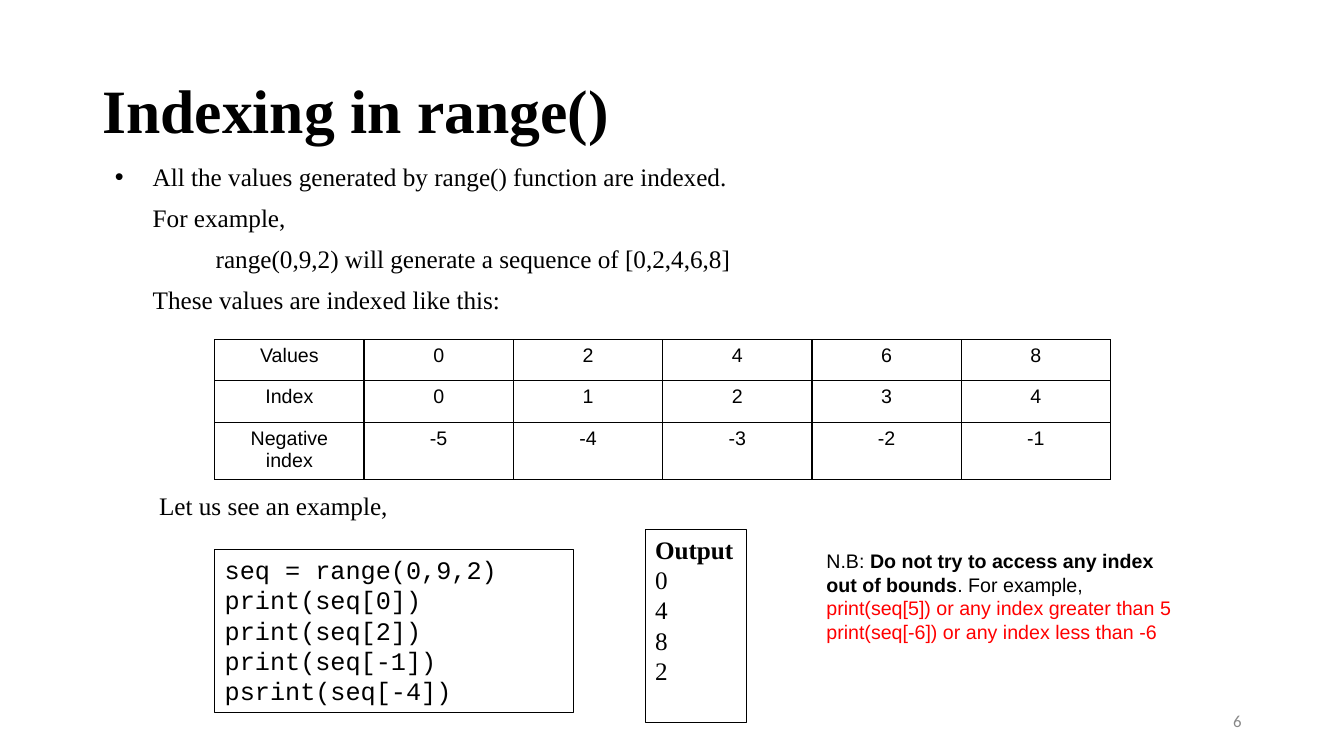
from lxml.etree import SubElement as add_element
from pptx import Presentation
from pptx.dml.color import RGBColor
from pptx.enum.shapes import MSO_SHAPE as Preset
from pptx.enum.text import MSO_ANCHOR as Anchor, PP_ALIGN as Align
from pptx.oxml.ns import qn
from pptx.util import Pt

BLACK = RGBColor(0x00, 0x00, 0x00)
RED = RGBColor(0xFF, 0x00, 0x00)
GREY = RGBColor(0x88, 0x88, 0x88)

TITLE = {"name": "Times New Roman", "size": Pt(44), "bold": True}
SERIF = {"name": "Times New Roman", "size": Pt(18)}
CODE = {"name": "Courier New", "size": Pt(18)}
SANS = {"name": "Arial", "size": Pt(14)}
NUMBER = {"name": "Calibri", "size": Pt(12)}

TIGHT = {"line_spacing": 0.9}
BODY = {"line_spacing": 0.9, "space_before": Pt(10)}

INDEX_ROWS = [
    ["Values", "0", "2", "4", "6", "8"],
    ["Index", "0", "1", "2", "3", "4"],
    ["Negative index", "-5", "-4", "-3", "-2", "-1"],
]
CODE_LINES = [
    "seq = range(0,9,2)",
    "print(seq[0])",
    "print(seq[2])",
    "print(seq[-1])",
    "psrint(seq[-4])",
]


def set_values(target, values):
    for name, value in values.items():
        setattr(target, name, value)


def add_span(para, text, font, color=BLACK):
    span = para.add_run()
    span.text = text
    set_values(span.font, font)
    span.font.color.rgb = color


def write_lines(frame, lines, layout):
    for number, spans in enumerate(lines):
        para = frame.add_paragraph() if number else frame.paragraphs[0]
        set_values(para, layout)
        for span in spans:
            add_span(para, *span)


def add_text(page, place, lines, layout, anchor=Anchor.TOP):
    box = page.shapes.add_textbox(*map(Pt, place))
    set_values(box.text_frame, {"word_wrap": True, "vertical_anchor": anchor})
    write_lines(box.text_frame, lines, layout)
    return box


def add_framed_text(page, place, lines):
    box = page.shapes.add_shape(Preset.RECTANGLE, *map(Pt, place))
    box.shadow.inherit = False
    box.fill.background()
    box.line.color.rgb = BLACK
    box.line.width = Pt(0.75)
    set_values(box.text_frame, {"word_wrap": True, "vertical_anchor": Anchor.TOP})
    write_lines(box.text_frame, lines, {"alignment": Align.LEFT})


def set_indent(para, margin, first=0, bullet=None):
    properties = para._p.get_or_add_pPr()
    properties.set("marL", str(Pt(margin)))
    properties.set("indent", str(Pt(first)))
    if bullet:
        add_element(properties, qn("a:buFont"), typeface="Arial")
        add_element(properties, qn("a:buChar"), char=bullet)


def add_borders(cell):
    properties = cell._tc.get_or_add_tcPr()
    for position, side in enumerate(("a:lnL", "a:lnR", "a:lnT", "a:lnB")):
        line = properties.makeelement(qn(side), {"w": str(Pt(1))})
        fill = add_element(line, qn("a:solidFill"))
        add_element(fill, qn("a:srgbClr"), val=str(BLACK))
        properties.insert(position, line)


def add_index_table(page, place, rows):
    frame = page.shapes.add_table(len(rows), len(rows[0]), *map(Pt, place))
    table = frame.table
    set_values(table, {"first_row": False, "horz_banding": False})
    for row, texts in enumerate(rows):
        for column, text in enumerate(texts):
            cell = table.cell(row, column)
            cell.fill.background()
            add_borders(cell)
            write_lines(cell.text_frame, [[(text, SANS)]], {"alignment": Align.CENTER})


def main():
    deck = Presentation()
    set_values(deck, {"slide_width": Pt(960), "slide_height": Pt(540)})
    page = deck.slides.add_slide(deck.slide_layouts[6])

    add_text(page, (66, 28.8, 828, 104.4), [[("Indexing in range()", TITLE)]],
             TIGHT, Anchor.MIDDLE)

    body_lines = [
        "All the values generated by range() function are indexed.",
        "For example,",
        "range(0,9,2) will generate a sequence of [0,2,4,6,8]",
        "These values are indexed like this:",
    ]
    body = add_text(page, (66, 113.8, 828, 120),
                    [[(line, SERIF)] for line in body_lines], BODY)
    indents = [(36, -27, "•"), (36,), (81,), (36,)]
    for para, indent in zip(body.text_frame.paragraphs, indents):
        set_indent(para, *indent)

    add_index_table(page, (153.4, 242.6, 640, 88.5), INDEX_ROWS)
    add_text(page, (106.5, 349, 400, 28), [[("Let us see an example,", SERIF)]], TIGHT)

    add_framed_text(page, (153.4, 392.4, 256.3, 116.6),
                    [[(line, CODE)] for line in CODE_LINES])
    output = [[("Output", {**SERIF, "bold": True})]]
    output += [[(value, SERIF)] for value in "0482"]
    add_framed_text(page, (460.8, 378, 72.7, 138.2), output)

    warning = [
        [("N.B: ", SANS),
         ("Do not try to access any index out of bounds", {**SANS, "bold": True}),
         (". For example,", SANS)],
        [("print(seq[5]) or any index greater than 5", SANS, RED)],
        [("print(seq[-6]) or any index less than -6", SANS, RED)],
    ]
    add_text(page, (583.2, 388.8, 261.4, 92.2), warning, {})
    add_text(page, (678, 500.4, 216, 28.8), [[("6", NUMBER, GREY)]],
             {"alignment": Align.RIGHT}, Anchor.MIDDLE)

    deck.save("out.pptx")


if __name__ == "__main__":
    main()
